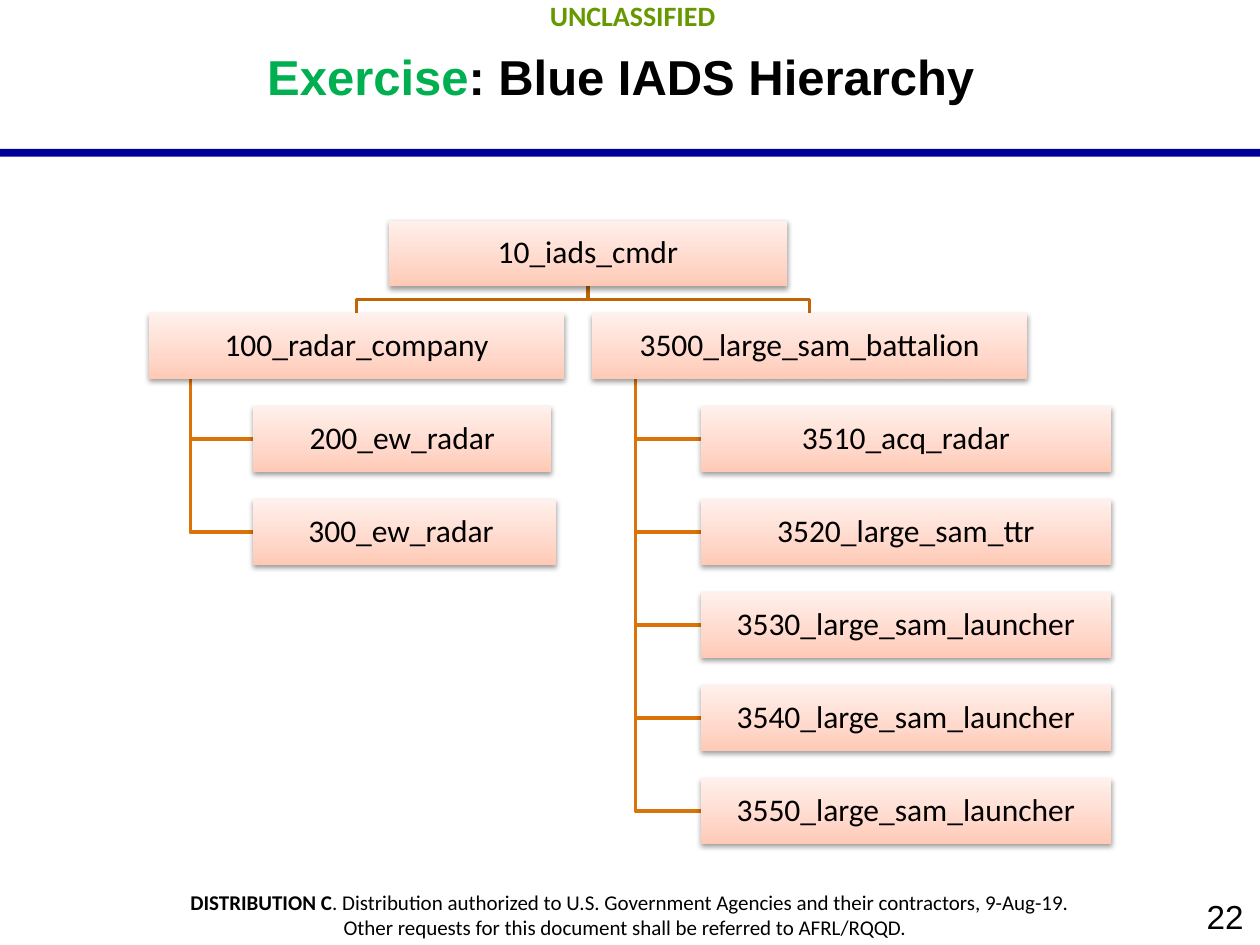
"""Build the Blue IADS hierarchy slide."""
from dataclasses import dataclass
from typing import Any

from lxml import etree
from pptx import Presentation, util as u
from pptx.dml.color import RGBColor
from pptx.enum import shapes, text
from pptx.oxml import parse_xml
from pptx.oxml.ns import nsdecls, qn

COLORS = {
    "black": "000000", "rule": "000099", "marking": "669900", "accent": "00B050",
    "trunk": "C06607", "branch": "DA7308",
    "box_dark": "FFC9B5", "box_mid": "FFD8CB", "box_light": "FFF0EB",
}
STOPS = {0: "box_dark", 35: "box_mid", 100: "box_light"}
ROW_TOP, ROW_STEP, BOX_H = 126, 53.13, 37.4
RAIL_SHARE = 0.1
CENTER, RIGHT = text.PP_ALIGN.CENTER, text.PP_ALIGN.RIGHT
TOP, MIDDLE = text.MSO_ANCHOR.TOP, text.MSO_ANCHOR.MIDDLE


@dataclass
class Run:
    text: str
    size: float
    font: str = "Calibri"
    color: str = "black"
    bold: bool = False


@dataclass
class Label:
    left: float
    top: float
    width: float
    height: float
    lines: list[list[Run]]
    anchor: Any = TOP
    align: Any = CENTER


@dataclass
class Node:
    name: str
    left: float
    width: float
    row: int

    @property
    def top(self) -> float:
        return ROW_TOP + self.row * ROW_STEP

    @property
    def bottom(self) -> float:
        return self.top + BOX_H

    @property
    def mid_x(self) -> float:
        return self.left + self.width / 2

    @property
    def mid_y(self) -> float:
        return self.top + BOX_H / 2

    @property
    def rail_x(self) -> float:
        return self.left + self.width * RAIL_SHARE


@dataclass
class Unit:
    head: Node
    members: list[Node]


LABELS = [
    Label(576, 507.6, 144, 32.4, [[Run("22", 19, "Arial")]], MIDDLE, RIGHT),
    Label(1.5, -5.8, 720, 28.8, [[Run("UNCLASSIFIED", 16, color="marking", bold=True)]]),
    Label(-0.7, 503.3, 721.4, 38.9, [
        [Run("DISTRIBUTION C", 12, bold=True),
         Run(". Distribution authorized to U.S. Government Agencies and their "
             "contractors, 9-Aug-19.", 12)],
        [Run("Other requests for this document shall be referred to AFRL/RQQD.  ", 12)],
    ]),
    Label(34.6, -1.4, 648, 90, [
        [Run("Exercise", 28, "Arial", "accent", True),
         Run(": Blue IADS Hierarchy ", 28, "Arial", bold=True)],
    ], MIDDLE),
]

COMMANDER = Node("10_iads_cmdr", 222.3, 227.3, 0)
SAM_MEMBERS = ["3510_acq_radar", "3520_large_sam_ttr", "3530_large_sam_launcher",
               "3540_large_sam_launcher", "3550_large_sam_launcher"]
UNITS = [
    Unit(Node("100_radar_company", 85, 237.4, 1),
         [Node("200_ew_radar", 144.6, 170.6, 2), Node("300_ew_radar ", 144.6, 173.3, 3)]),
    Unit(Node("3500_large_sam_battalion", 338.2, 249, 1),
         [Node(name, 400.4, 234.6, row) for row, name in enumerate(SAM_MEMBERS, 2)]),
]


def rgb(name: str) -> RGBColor:
    """Return a named colour."""
    return RGBColor.from_string(COLORS[name])


def apply(target: Any, values: dict[str, Any]) -> None:
    """Set each attribute in values on target."""
    for name, value in values.items():
        setattr(target, name, value)


def write(tf: Any, lines: list[list[Run]], frame: dict[str, Any], para: dict[str, Any]) -> None:
    """Fill a text frame with lines of formatted runs."""
    apply(tf, {"word_wrap": True, **frame})
    for i, line in enumerate(lines):
        p = tf.add_paragraph() if i else tf.paragraphs[0]
        apply(p, para)
        for run in line:
            r = p.add_run()
            r.text = run.text
            apply(r.font, {"size": u.Pt(run.size), "name": run.font, "bold": run.bold})
            r.font.color.rgb = rgb(run.color)


def add_label(slide: Any, label: Label) -> None:
    """Draw a text box."""
    sp = slide.shapes.add_textbox(
        *map(u.Pt, (label.left, label.top, label.width, label.height)))
    frame = {"vertical_anchor": label.anchor,
             "margin_left": u.Pt(9.4), "margin_right": u.Pt(9.4),
             "margin_top": u.Pt(5), "margin_bottom": u.Pt(5)}
    write(sp.text_frame, label.lines, frame, {"alignment": label.align})


def add_rect(slide: Any, left: float, top: float, width: float, height: float) -> Any:
    """Draw a rectangle without outline or inherited shadow."""
    sp = slide.shapes.add_shape(
        shapes.MSO_SHAPE.RECTANGLE, *map(u.Pt, (left, top, width, height)))
    sp.line.fill.background()
    sp.shadow.inherit = False
    return sp


def add_node(slide: Any, node: Node) -> None:
    """Draw a gradient box with a soft shadow and its name."""
    sp = add_rect(slide, node.left, node.top, node.width, BOX_H)
    sp.fill.gradient()
    sp.fill.gradient_angle = 90
    props = sp.fill._xPr
    stops = props.find(".//" + qn("a:gsLst"))
    for stop in list(stops):
        stops.remove(stop)
    for position, name in STOPS.items():
        stop = etree.SubElement(stops, qn("a:gs"), pos=str(position * 1000))
        etree.SubElement(stop, qn("a:srgbClr"), val=COLORS[name])
    props.find(qn("a:effectLst")).append(parse_xml(
        f'<a:outerShdw {nsdecls("a")} blurRad="{u.Pt(3.1)}" dist="{u.Pt(1.6)}" '
        f'dir="5400000" rotWithShape="0"><a:srgbClr val="{COLORS["black"]}">'
        '<a:alpha val="38000"/></a:srgbClr></a:outerShdw>'))
    margins = {f"margin_{side}": u.Pt(0.9) for side in ("left", "right", "top", "bottom")}
    write(sp.text_frame, [[Run(node.name, 18)]], {"vertical_anchor": MIDDLE, **margins},
          {"alignment": CENTER, "line_spacing": 0.9})


def add_link(slide: Any, points: list[tuple[float, float]], color: str) -> None:
    """Draw an open elbow line through the points."""
    start, *rest = [(u.Pt(x), u.Pt(y)) for x, y in points]
    builder = slide.shapes.build_freeform(*start)
    builder.add_line_segments(rest, close=False)
    sp = builder.convert_to_shape()
    sp.fill.background()
    sp.shadow.inherit = False
    sp.line.width = u.Pt(2)
    sp.line.color.rgb = rgb(color)


def main() -> None:
    """Assemble and save the slide."""
    prs = Presentation()
    apply(prs, {"slide_width": u.Pt(720), "slide_height": u.Pt(540)})
    slide = prs.slides.add_slide(prs.slide_layouts[6])
    rule = add_rect(slide, 0, 85, 720, 4.5)
    rule.fill.solid()
    rule.fill.fore_color.rgb = rgb("rule")
    for label in LABELS:
        add_label(slide, label)
    for unit in UNITS:
        head = unit.head
        for member in unit.members:
            add_link(slide, [(head.rail_x, head.bottom), (head.rail_x, member.mid_y),
                             (member.left, member.mid_y)], "branch")
        turn = (COMMANDER.bottom + head.top) / 2
        add_link(slide, [(COMMANDER.mid_x, COMMANDER.bottom), (COMMANDER.mid_x, turn),
                         (head.mid_x, turn), (head.mid_x, head.top)], "trunk")
    for node in [COMMANDER, *(n for unit in UNITS for n in (unit.head, *unit.members))]:
        add_node(slide, node)
    prs.save("out.pptx")


if __name__ == "__main__":
    main()
